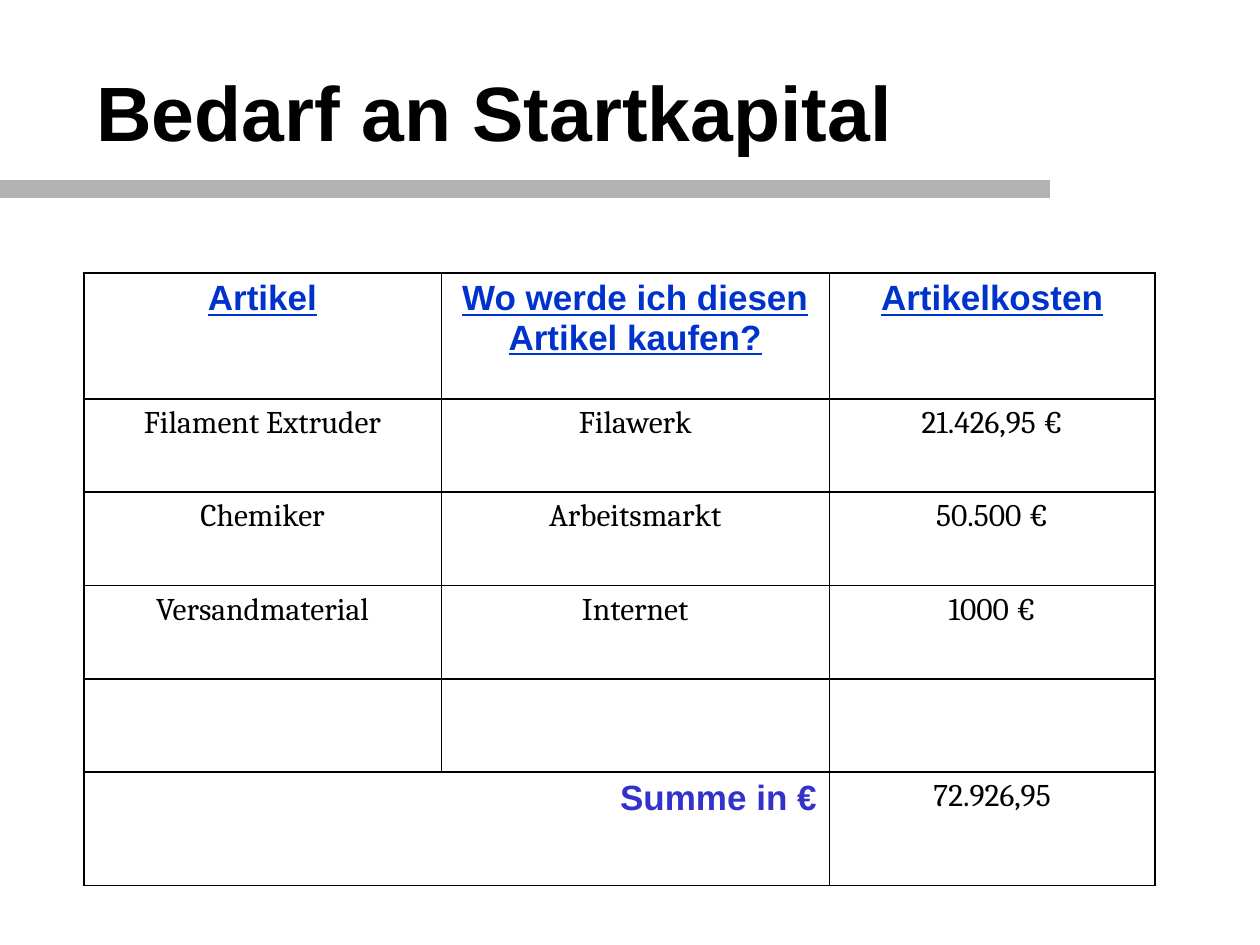
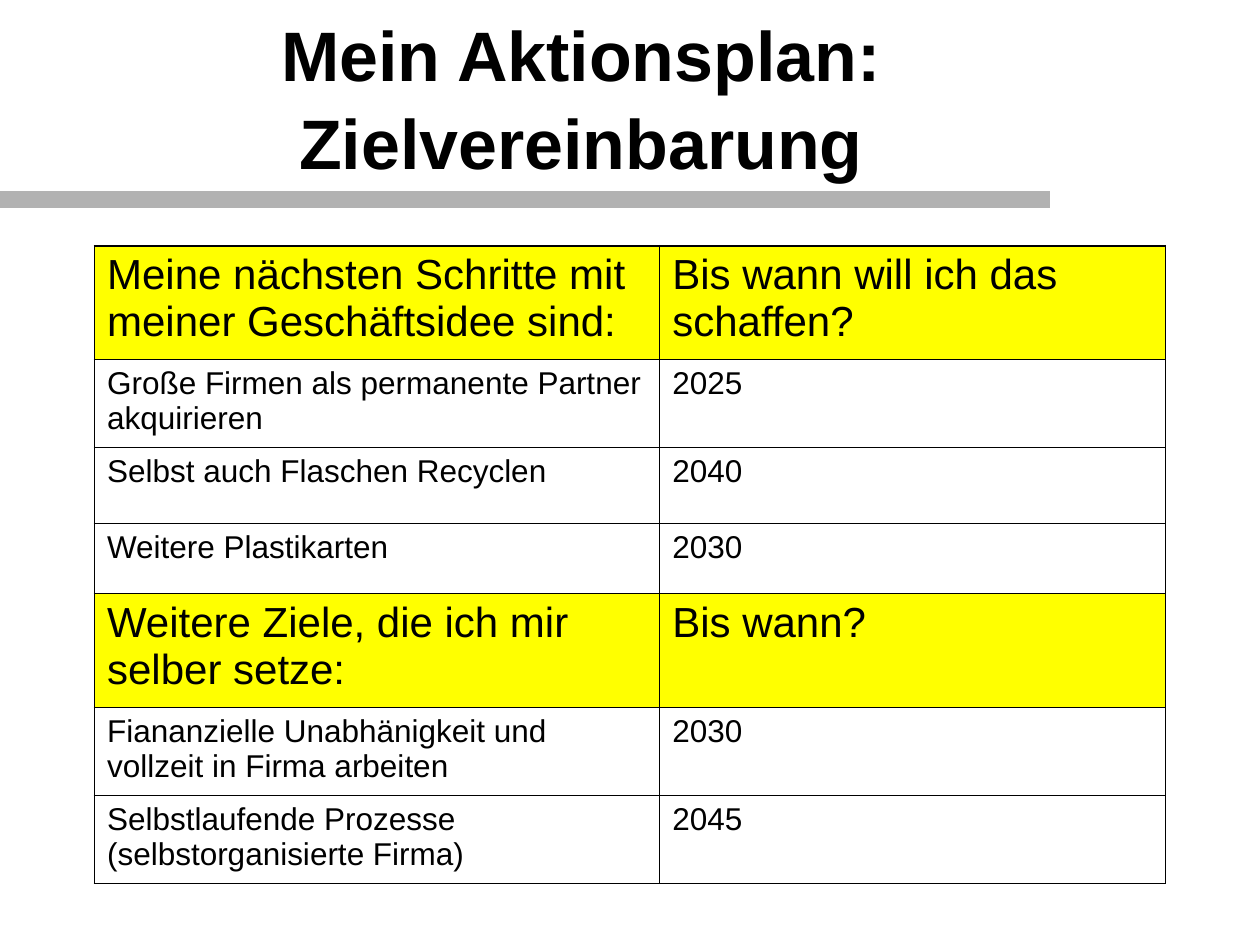
import pptx
import pptx.util
import pptx.dml.color
import pptx.enum.shapes
import pptx.enum.text
import lxml.etree

Pt = pptx.util.Pt
ALIGN = pptx.enum.text.PP_ALIGN
ANCHOR = pptx.enum.text.MSO_ANCHOR
COLORS = {
    "ink": "000000",
    "band": "B2B2B2",
    "heading": "0033CC",
    "total": "3333CC",
    "highlight": "FFFF00",
}
OUTER, INNER = 1.08, 0.45


def write(frame, text, size=18, font="Arial", color="ink", bold=False,
          underline=False, align=ALIGN.LEFT, before=0, spacing=1.0):
    paragraph = frame.paragraphs[0]
    paragraph.alignment = align
    paragraph.space_before = Pt(before)
    paragraph.line_spacing = spacing
    run = paragraph.add_run()
    run.text = text
    run.font.size = Pt(size)
    run.font.name = font
    run.font.bold = bold
    run.font.underline = underline
    run.font.color.rgb = pptx.dml.color.RGBColor.from_string(COLORS[color])


def draw_border(cell, side, width):
    properties = cell._tc.get_or_add_tcPr()
    line = lxml.etree.SubElement(properties, pptx.oxml.ns.qn("a:ln" + side), w=str(Pt(width)))
    fill = lxml.etree.SubElement(line, pptx.oxml.ns.qn("a:solidFill"))
    lxml.etree.SubElement(fill, pptx.oxml.ns.qn("a:srgbClr"), val=COLORS["ink"])


STYLES = {
    "heading": dict(size=20, color="heading", bold=True, underline=True, align=ALIGN.CENTER),
    "item": dict(font="Cambria", align=ALIGN.CENTER, before=4.5),
    "total": dict(size=20, color="total", bold=True, align=ALIGN.RIGHT, before=5),
    "section": dict(size=24, before=6),
    "step": dict(before=4.5),
}

startkapital = {
    "title": "Bedarf an Startkapital",
    "title_box": (48, 18, 540, 90),
    "title_format": dict(size=44),
    "band_y": 108,
    "corner": (48, 156),
    "columns": (204, 222, 186),
    "row_line": OUTER,
    "rows": [
        (72, "heading", ("Artikel", "Wo werde ich diesen Artikel kaufen?", "Artikelkosten")),
        (53.3, "item", ("Filament Extruder", "Filawerk", "21.426,95 €")),
        (53.3, "item", ("Chemiker", "Arbeitsmarkt", "50.500 €")),
        (53.3, "item", ("Versandmaterial", "Internet", "1000 €")),
        (53.3, "item", ("", "", "")),
        (64.8, "total", ("Summe in €", "", "72.926,95")),
    ],
}
aktionsplan = {
    "title": "Mein Aktionsplan: Zielvereinbarung",
    "title_box": (26, 9.4, 612, 90),
    "title_format": dict(size=40, align=ALIGN.CENTER, spacing=1.05),
    "band_y": 114,
    "corner": (54, 140.4),
    "columns": (323, 289),
    "row_line": INNER,
    "rows": [
        (64.8, "section", ("Meine nächsten Schritte mit meiner Geschäftsidee sind:",
                           "Bis wann will ich das schaffen?")),
        (50.4, "step", ("Große Firmen als permanente Partner akquirieren", "2025")),
        (43.4, "step", ("Selbst auch Flaschen Recyclen", "2040")),
        (40.2, "step", ("Weitere Plastikarten", "2030")),
        (64.8, "section", ("Weitere Ziele, die ich mir selber setze:", "Bis wann?")),
        (50.4, "step", ("Fiananzielle Unabhänigkeit und vollzeit in Firma arbeiten", "2030")),
        (50.4, "step", ("Selbstlaufende Prozesse (selbstorganisierte Firma)", "2045")),
    ],
}

deck = pptx.Presentation()
deck.slide_width, deck.slide_height = Pt(720), Pt(540)

for content in (startkapital, aktionsplan):
    slide = deck.slides.add_slide(deck.slide_layouts[6])

    title = slide.shapes.add_textbox(*map(Pt, content["title_box"])).text_frame
    title.word_wrap = True
    title.vertical_anchor = ANCHOR.MIDDLE
    write(title, content["title"], bold=True, **content["title_format"])

    band = slide.shapes.add_connector(
        pptx.enum.shapes.MSO_CONNECTOR.STRAIGHT,
        Pt(0), Pt(content["band_y"]), Pt(600), Pt(content["band_y"]))
    band.line.width = Pt(10)
    band.line.color.rgb = pptx.dml.color.RGBColor.from_string(COLORS["band"])
    lxml.etree.SubElement(band._element.spPr, pptx.oxml.ns.qn("a:effectLst"))

    columns, rows = content["columns"], content["rows"]
    left, top = content["corner"]
    height = sum(row[0] for row in rows)
    plan = slide.shapes.add_table(
        len(rows), len(columns), Pt(left), Pt(top), Pt(sum(columns)), Pt(height)).table
    plan.first_row = plan.horz_banding = False
    for column, width in zip(plan.columns, columns):
        column.width = Pt(width)

    last_row, last_column = len(rows) - 1, len(columns) - 1
    for r, (row_height, style, texts) in enumerate(rows):
        plan.rows[r].height = Pt(row_height)
        for c, text in enumerate(texts):
            cell = plan.cell(r, c)
            draw_border(cell, "L", OUTER if c == 0 else INNER)
            draw_border(cell, "R", OUTER if c == last_column else INNER)
            draw_border(cell, "T", OUTER if r == 0 else content["row_line"])
            draw_border(cell, "B", OUTER if r == last_row else content["row_line"])
            if style == "section":
                cell.fill.solid()
                cell.fill.fore_color.rgb = pptx.dml.color.RGBColor.from_string(COLORS["highlight"])
            else:
                cell.fill.background()
            if text:
                cell_style = "item" if style == "total" and c == last_column else style
                write(cell.text_frame, text, **STYLES[cell_style])
        if style == "total":
            plan.cell(r, 0).merge(plan.cell(r, 1))

deck.save("out.pptx")
